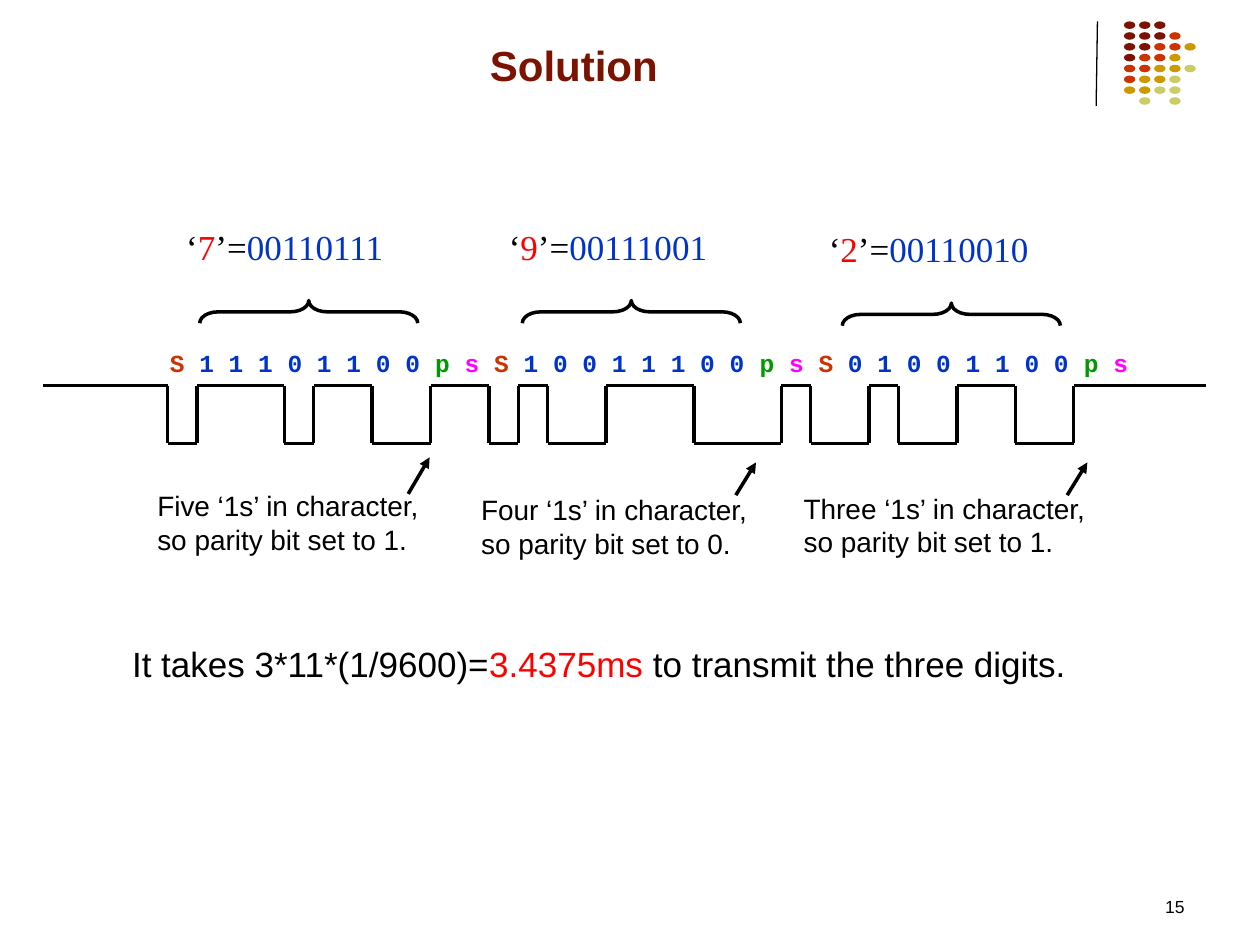
from lxml import etree
from pptx import Presentation
from pptx.dml.color import RGBColor
from pptx.enum.shapes import MSO_CONNECTOR, MSO_SHAPE
from pptx.enum.text import MSO_ANCHOR, PP_ALIGN
from pptx.oxml.ns import qn
from pptx.util import Inches, Pt

STRAIGHT = MSO_CONNECTOR.STRAIGHT
OVAL, BRACE = MSO_SHAPE.OVAL, MSO_SHAPE.LEFT_BRACE

BLACK = RGBColor(0x00, 0x00, 0x00)
MAROON = RGBColor(0x7C, 0x13, 0x02)
RUST = RGBColor(0xCC, 0x33, 0x00)
GOLD = RGBColor(0xCC, 0x99, 0x00)
OLIVE = RGBColor(0xCC, 0xCC, 0x66)
RED = RGBColor(0xFF, 0x00, 0x00)
BLUE = RGBColor(0x00, 0x33, 0xCC)
GREEN = RGBColor(0x00, 0x99, 0x00)
MAGENTA = RGBColor(0xFF, 0x00, 0xFF)

# Each letter is one dot of the corner ornament
DOT_ROWS = ["MMM", "MMMR", "MMRRG", "MRRG", "RRGGO", "RGGO", "GGOO", " O O"]
DOT_COLORS = {"M": MAROON, "R": RUST, "G": GOLD, "O": OLIVE}
DOT_LEFT, DOT_TOP, DOT_STEP_X, DOT_STEP_Y = 8.92, 0.17, 0.12, 0.086

# Bits are in reading order; the line sends them last bit first
CHARACTERS = [
    {"digit": "7", "bits": "00110111", "label": (1.38, 1.74),
     "note": "Five ‘1s’ in character, so parity bit set to 1.",
     "note_box": (1.15, 3.83, 2.39, 0.64), "arrow": (3.24, 3.92, 3.41, 3.63)},
    {"digit": "9", "bits": "00111001", "label": (3.94, 1.74),
     "note": "Four ‘1s’ in character, so parity bit set to 0.",
     "note_box": (3.72, 3.86, 2.39, 0.64), "arrow": (5.84, 3.93, 6, 3.67)},
    {"digit": "2", "bits": "00110010", "label": (6.48, 1.76),
     "note": "Three ‘1s’ in character, so parity bit set to 1.",
     "note_box": (6.28, 3.85, 2.48, 0.64), "arrow": (8.47, 3.93, 8.63, 3.67)},
]
SUMMARY = [("It takes 3*11*(1/9600)=", BLACK), ("3.4375ms", RED),
           (" to transmit the three digits.", BLACK)]

WAVE_START, WAVE_LEFT, WAVE_RIGHT = 0.34, 1.33, 9.57
BIT_WIDTH = 0.232
LEVEL_Y = {"1": 3.06, "0": 3.52}
BRACE_OFFSET_X, BRACE_OFFSET_Y = 0.98, -0.13


def add_runs(paragraph, runs, size, font="Arial", bold=False):
    for text, color in runs:
        run = paragraph.add_run()
        run.text = text
        run.font.size = Pt(size)
        run.font.name = font
        run.font.bold = bold
        run.font.color.rgb = color


def add_text(slide, box, runs, size, font="Arial", bold=False, align=PP_ALIGN.LEFT):
    frame = slide.shapes.add_textbox(*map(Inches, box)).text_frame
    frame.word_wrap = True
    frame.paragraphs[0].alignment = align
    add_runs(frame.paragraphs[0], runs, size, font, bold)


def add_line(slide, x1, y1, x2, y2, width=2, arrow=False):
    line = slide.shapes.add_connector(STRAIGHT, *map(Inches, (x1, y1, x2, y2)))
    line.line.color.rgb = BLACK
    line.line.width = Pt(width)
    if arrow:
        etree.SubElement(line.line._get_or_add_ln(), qn("a:tailEnd"), type="triangle")
    etree.SubElement(line._element.spPr, qn("a:effectLst"))


def add_ornament(slide):
    add_line(slide, 8.71, 0.17, 8.7, 0.84, width=0.75)
    for row, letters in enumerate(DOT_ROWS):
        for column, letter in enumerate(letters):
            if letter not in DOT_COLORS:
                continue
            dot = slide.shapes.add_shape(
                OVAL, Inches(DOT_LEFT + column * DOT_STEP_X),
                Inches(DOT_TOP + row * DOT_STEP_Y), Inches(0.09), Inches(0.06))
            dot.shadow.inherit = False
            dot.fill.solid()
            dot.fill.fore_color.rgb = DOT_COLORS[letter]
            dot.line.fill.background()


def add_brace(slide, left, top):
    brace = slide.shapes.add_shape(BRACE, *map(Inches, (left, top, 0.18, 1.73)))
    brace.rotation = 90
    brace.adjustments[0] = 0.805
    brace.shadow.inherit = False
    brace.fill.background()
    brace.line.color.rgb = BLACK
    brace.line.width = Pt(2)


def add_bit_labels(slide):
    runs = []
    for character in CHARACTERS:
        data = " ".join(reversed(character["bits"]))
        runs += [("S ", RUST), (data + " ", BLUE), ("p ", GREEN), ("s ", MAGENTA)]
    runs[-1] = ("s", MAGENTA)
    add_text(slide, (1.25, 2.71, 8.37, 0.33), runs, 14, "Courier New", bold=True)


def add_waveform(slide):
    """Draw start bit 0, data, even parity and stop bit 1 for each character."""
    levels = ""
    for character in CHARACTERS:
        bits = character["bits"]
        levels += "0" + bits[::-1] + str(bits.count("1") % 2) + "1"
    add_line(slide, WAVE_START, LEVEL_Y["1"], WAVE_LEFT, LEVEL_Y["1"])
    previous = "1"
    for index, level in enumerate(levels):
        left = WAVE_LEFT + index * BIT_WIDTH
        right = WAVE_RIGHT if index == len(levels) - 1 else left + BIT_WIDTH
        if level != previous:
            add_line(slide, left, LEVEL_Y["1"], left, LEVEL_Y["0"])
        add_line(slide, left, LEVEL_Y[level], right, LEVEL_Y[level])
        previous = level


def add_character(slide, character):
    left, top = character["label"]
    add_brace(slide, left + BRACE_OFFSET_X, top + BRACE_OFFSET_Y)
    label = [("‘", BLACK), (character["digit"], RED), ("’=", BLACK),
             (character["bits"], BLUE)]
    add_text(slide, (left, top, 2.1, 0.43), label, 20, "Times New Roman")
    add_text(slide, character["note_box"], [(character["note"], BLACK)], 16)
    add_line(slide, *character["arrow"], arrow=True)


def main():
    presentation = Presentation()
    presentation.slide_width, presentation.slide_height = Inches(10), Inches(7.5)
    slide = presentation.slides.add_slide(presentation.slide_layouts[5])

    add_ornament(slide)
    title = slide.shapes.title
    title.left, title.top, title.width, title.height = map(
        Inches, (0.43, 0.21, 8.25, 0.55))
    title.text_frame.vertical_anchor = MSO_ANCHOR.BOTTOM
    title.text_frame.paragraphs[0].alignment = PP_ALIGN.CENTER
    add_runs(title.text_frame.paragraphs[0], [("Solution", MAROON)], 24, bold=True)

    add_text(slide, (7.17, 7.06, 2.33, 0.28), [("15", BLACK)], 10,
             align=PP_ALIGN.RIGHT)
    add_bit_labels(slide)
    add_waveform(slide)
    for character in CHARACTERS:
        add_character(slide, character)
    add_text(slide, (0.95, 5.05, 7.86, 0.43), SUMMARY, 20)
    presentation.save("out.pptx")


if __name__ == "__main__":
    main()
